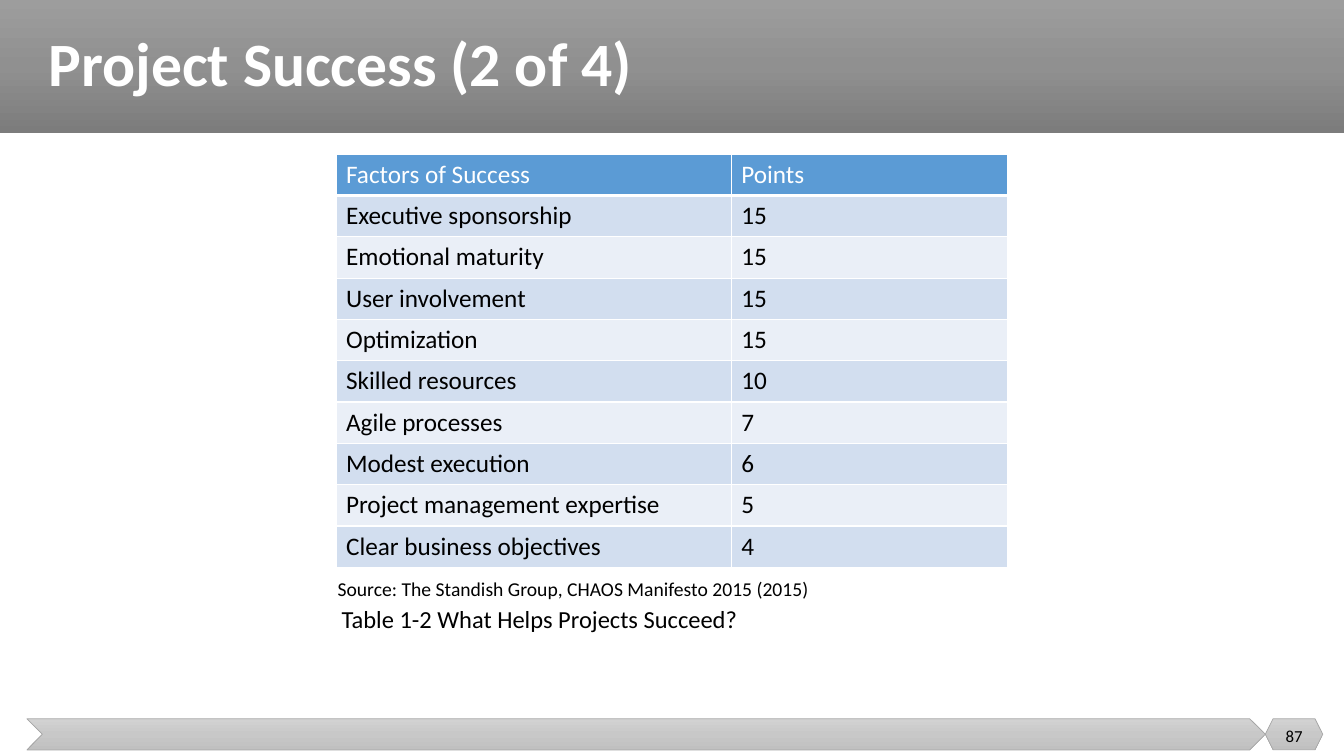
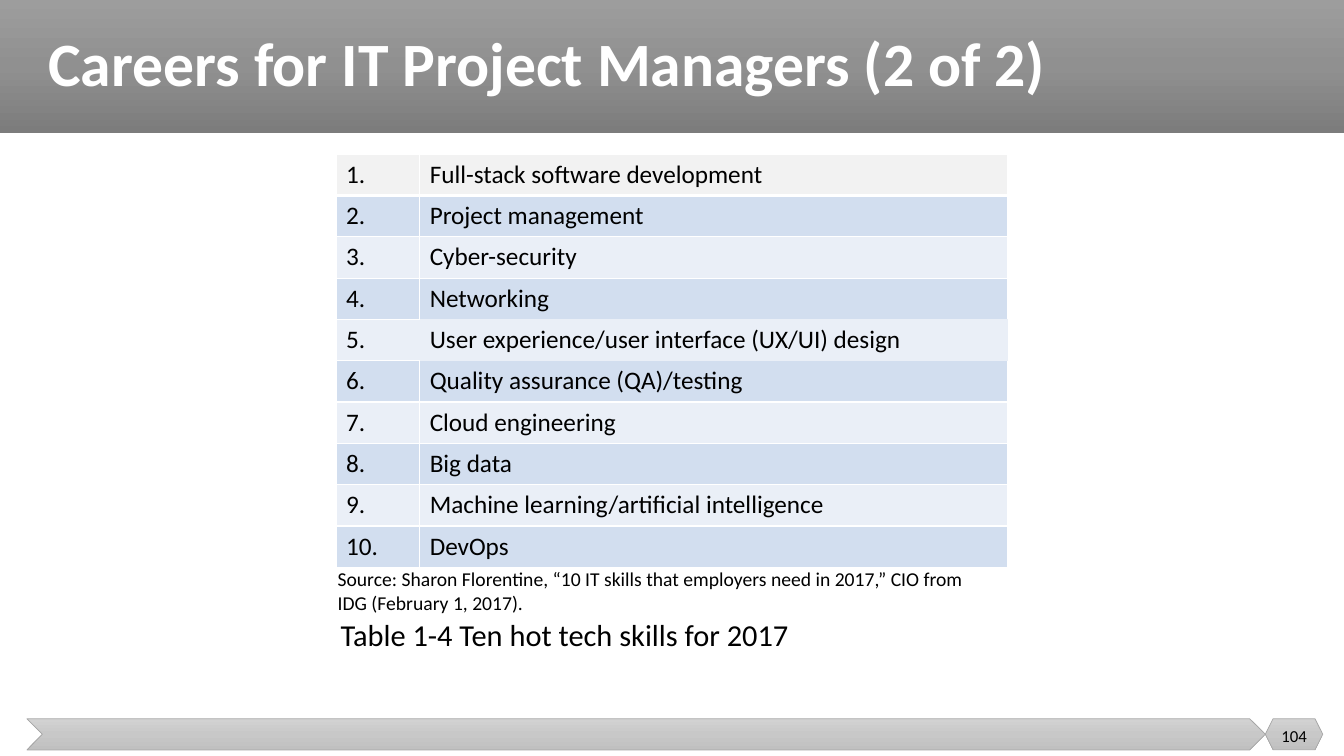
from copy import deepcopy

from pptx import Presentation, util as u
from pptx.dml.color import RGBColor
from pptx.enum import shapes, text
from pptx.oxml import parse_xml
from pptx.oxml.ns import nsdecls, qn

FONT = "Calibri"
COLORS = {
    "white": "FFFFFF", "black": "000000", "outline": "A5A5A5",
    "header": "5B9BD5", "pale": "F2F2F2", "odd": "D2DEEF", "even": "EAEFF7",
}
BAND_GRADIENT = ["9D9D9D", "909090", "7C7C7C"]
FOOTER_GRADIENT = ["D2D2D2", "C8C8C8", "C0C0C0"]

WIDTH, HEIGHT = 13.33, 7.5
BAND_HEIGHT = 1.32
FOOTER_TOP, FOOTER_HEIGHT = 7.13, 0.31
NUMBER_LEFT, NUMBER_WIDTH = 12.55, 0.57
TABLE_LEFT, TABLE_TOP, TABLE_WIDTH = WIDTH / 4, 1.53, WIDTH / 2
ROW_HEIGHT = 0.41

SKILLS = [
    "Full-stack software development", "Project management", "Cyber-security",
    "Networking", "User experience/user interface (UX/UI) design",
    "Quality assurance (QA)/testing", "Cloud engineering", "Big data",
    "Machine learning/artificial intelligence", "DevOps",
]
SLIDES = [
    {
        "title": "Project Success (2 of 4)", "number": "87",
        "rows": [
            ("Factors of Success", "Points"), ("Executive sponsorship", "15"),
            ("Emotional maturity", "15"), ("User involvement", "15"),
            ("Optimization", "15"), ("Skilled resources", "10"),
            ("Agile processes", "7"), ("Modest execution", "6"),
            ("Project management expertise", "5"),
            ("Clear business objectives", "4"),
        ],
        "first_column": 3.92, "top_row": ("header", "white"), "borderless": None,
        "source": "Source: The Standish Group, CHAOS Manifesto 2015 (2015)",
        "source_box": (3.25, 5.67, 6.58, 0.34),
        "caption": "Table 1-2 What Helps Projects Succeed?",
        "caption_box": (3.29, 6.02, 5.67, 0.34), "caption_size": 17.5,
    },
    {
        "title": "Careers for IT Project Managers (2 of 2)", "number": "104",
        "rows": [(f"{rank}.", skill) for rank, skill in enumerate(SKILLS, 1)],
        "first_column": 0.83, "top_row": ("pale", "black"), "borderless": (4, 1),
        "source": "Source: Sharon Florentine, “10 IT skills that employers need "
                  "in 2017,” CIO from IDG (February 1, 2017).",
        "source_box": (3.25, 5.58, 6.58, 0.57),
        "caption": "Table 1-4 Ten hot tech skills for 2017",
        "caption_box": (3.28, 6.16, 5.06, 0.5), "caption_size": 21.7,
    },
]


def rgb(name):
    return RGBColor.from_string(COLORS[name])


def inches(*lengths):
    return [u.Inches(length) for length in lengths]


def set_font(paragraph, size, color="black", bold=False):
    font = paragraph.font
    font.name, font.size, font.bold = FONT, u.Pt(size), bold
    font.color.rgb = rgb(color)


def add_gradient_shape(slide, kind, box, gradient, outline=None):
    shape = slide.shapes.add_shape(kind, *inches(*box))
    shape.shadow.inherit = False
    shape.fill.gradient()
    shape.fill.gradient_angle = 270
    stop_list = shape.element.spPr.find(".//" + qn("a:gsLst"))
    stop_list.insert(1, deepcopy(stop_list[0]))
    for index, (stop, color) in enumerate(zip(shape.fill.gradient_stops, gradient)):
        stop.position = index / 2
        stop.color.rgb = RGBColor.from_string(color)
    if outline:
        shape.line.color.rgb = rgb(outline)
        shape.line.width = u.Pt(0.5)
    else:
        shape.line.fill.background()
    return shape


def furnish_layout(layout, slide):
    """Draw the band and footer on the slide, then move them behind the layout's title."""
    for placeholder in list(layout.placeholders)[1:]:
        placeholder.element.getparent().remove(placeholder.element)
    kinds = shapes.MSO_SHAPE
    chevron_left = WIDTH * 0.02
    parts = [
        (kinds.RECTANGLE, (0, 0, WIDTH, BAND_HEIGHT), BAND_GRADIENT),
        (kinds.CHEVRON, (chevron_left, FOOTER_TOP, NUMBER_LEFT - chevron_left,
                         FOOTER_HEIGHT), FOOTER_GRADIENT, "outline"),
        (kinds.HEXAGON, (NUMBER_LEFT, FOOTER_TOP, NUMBER_WIDTH, FOOTER_HEIGHT),
         FOOTER_GRADIENT, "outline"),
    ]
    for index, part in enumerate(parts, 2):
        layout.shapes.element.insert(index, add_gradient_shape(slide, *part).element)


def add_title(slide, words):
    title = slide.shapes.title
    title.left, title.top, title.width, title.height = inches(0.38, 0, 12.74, BAND_HEIGHT)
    frame = title.text_frame
    frame.text = words
    frame.auto_size = text.MSO_AUTO_SIZE.NONE
    frame.vertical_anchor = text.MSO_ANCHOR.MIDDLE
    paragraph = frame.paragraphs[0]
    paragraph.alignment = text.PP_ALIGN.LEFT
    paragraph.line_spacing = 0.9
    set_font(paragraph, 44, "white", bold=True)


def add_text(slide, words, box, size):
    frame = slide.shapes.add_textbox(*inches(*box)).text_frame
    frame.word_wrap = True
    frame.text = words
    set_font(frame.paragraphs[0], size)
    return frame


def set_borders(cell, row, column, borderless):
    """White edges, thick below the top row; none around the borderless cell."""
    neighbours = {"L": (row, column - 1), "R": (row, column + 1),
                  "T": (row - 1, column), "B": (row + 1, column)}
    properties = cell._tc.get_or_add_tcPr()
    for index, (side, neighbour) in enumerate(neighbours.items()):
        points = 3 if side == "B" and row == 0 else 1
        paint = (f'<a:solidFill><a:srgbClr val="{COLORS["white"]}"/></a:solidFill>'
                 if borderless not in ((row, column), neighbour) else "<a:noFill/>")
        properties.insert(index, parse_xml(
            f'<a:ln{side} {nsdecls("a")} w="{u.Pt(points)}">{paint}</a:ln{side}>'))


def add_table(slide, rows, first_column, top_row, borderless):
    table = slide.shapes.add_table(
        len(rows), 2,
        *inches(TABLE_LEFT, TABLE_TOP, TABLE_WIDTH, ROW_HEIGHT * len(rows))).table
    table.first_row = table.horz_banding = False
    for column, width in zip(table.columns, inches(first_column, TABLE_WIDTH - first_column)):
        column.width = width
    for row, values in enumerate(rows):
        fill, color = top_row if row == 0 else ("odd" if row % 2 else "even", "black")
        for column, value in enumerate(values):
            cell = table.cell(row, column)
            cell.text = value
            cell.fill.solid()
            cell.fill.fore_color.rgb = rgb(fill)
            set_font(cell.text_frame.paragraphs[0], 18, color)
            set_borders(cell, row, column, borderless)


def add_slide_number(slide, number):
    frame = add_text(slide, number, (NUMBER_LEFT, 7.1, NUMBER_WIDTH, 0.4), 12)
    frame.vertical_anchor = text.MSO_ANCHOR.MIDDLE
    frame.paragraphs[0].alignment = text.PP_ALIGN.CENTER


def main():
    presentation = Presentation()
    presentation.slide_width, presentation.slide_height = inches(WIDTH, HEIGHT)
    layout = presentation.slide_layouts[5]
    for index, content in enumerate(SLIDES):
        slide = presentation.slides.add_slide(layout)
        if index == 0:
            furnish_layout(layout, slide)
        add_title(slide, content["title"])
        add_table(slide, content["rows"], content["first_column"],
                  content["top_row"], content["borderless"])
        add_text(slide, content["source"], content["source_box"], 14)
        caption = add_text(slide, content["caption"], content["caption_box"],
                           content["caption_size"])
        caption.paragraphs[0].line_spacing = 0.7
        add_slide_number(slide, content["number"])
    presentation.save("out.pptx")


if __name__ == "__main__":
    main()
